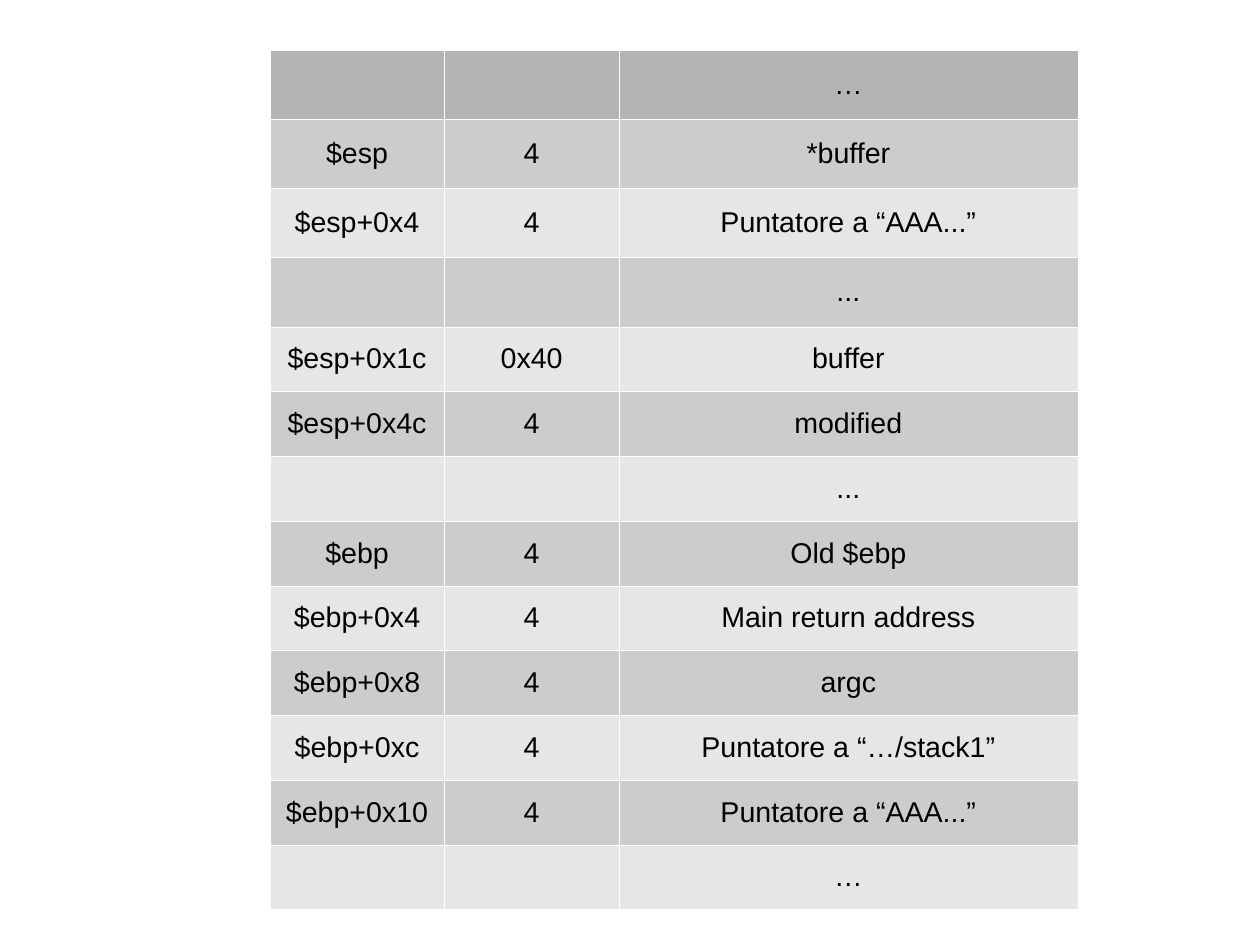
from lxml.etree import SubElement
from pptx import Presentation
from pptx.dml.color import RGBColor
from pptx.enum.text import MSO_ANCHOR, PP_ALIGN
from pptx.oxml.ns import qn
from pptx.util import Cm, Inches, Pt

HEADER_FILL = "B3B3B3"
BAND_FILLS = ["CCCCCC", "E6E6E6"]
BORDER_COLOR = "FFFFFF"
TEXT_COLOR = "000000"
COLUMN_SHARES = [1.53, 1.53, 4.02]
ROW_SHARES = [16] * 4 + [15] * 9

STACK_ROWS = [
    ("", "", "…"),
    ("$esp", "4", "*buffer"),
    ("$esp+0x4", "4", "Puntatore a “AAA...”"),
    ("", "", "..."),
    ("$esp+0x1c", "0x40", "buffer"),
    ("$esp+0x4c", "4", "modified"),
    ("", "", "..."),
    ("$ebp", "4", "Old $ebp"),
    ("$ebp+0x4", "4", "Main return address"),
    ("$ebp+0x8", "4", "argc"),
    ("$ebp+0xc", "4", "Puntatore a “…/stack1”"),
    ("$ebp+0x10", "4", "Puntatore a “AAA...”"),
    ("", "", "…"),
]


def color(value):
    return RGBColor.from_string(value)


def add_borders(cell):
    properties = cell._tc.get_or_add_tcPr()
    for side in ("a:lnL", "a:lnR", "a:lnT", "a:lnB"):
        line = SubElement(properties, qn(side), w=str(Pt(0.06)))
        fill = SubElement(line, qn("a:solidFill"))
        SubElement(fill, qn("a:srgbClr"), val=BORDER_COLOR)


def format_cell(cell, text, fill):
    add_borders(cell)
    cell.fill.solid()
    cell.fill.fore_color.rgb = color(fill)
    cell.vertical_anchor = MSO_ANCHOR.MIDDLE
    cell.margin_left = cell.margin_right = Inches(0.1)
    cell.margin_top = cell.margin_bottom = Inches(0.05)
    para = cell.text_frame.paragraphs[0]
    para.alignment = PP_ALIGN.CENTER
    if text:
        span = para.add_run()
        span.text = text
        span.font.size = Pt(18)
        span.font.name = "Arial"
        span.font.color.rgb = color(TEXT_COLOR)


def add_stack_table(page, left, top, width, height):
    frame = page.shapes.add_table(
        len(STACK_ROWS), len(COLUMN_SHARES), left, top, width, height
    )
    table = frame.table
    for column, share in zip(table.columns, COLUMN_SHARES):
        column.width = int(width * share / sum(COLUMN_SHARES))
    for row, share in zip(table.rows, ROW_SHARES):
        row.height = int(height * share / sum(ROW_SHARES))
    for row_index, texts in enumerate(STACK_ROWS):
        fill = BAND_FILLS[(row_index - 1) % 2] if row_index else HEADER_FILL
        for column_index, text in enumerate(texts):
            format_cell(table.cell(row_index, column_index), text, fill)


def main():
    deck = Presentation()
    deck.slide_width = Cm(28)
    deck.slide_height = Cm(21)
    page = deck.slides.add_slide(deck.slide_layouts[6])
    add_stack_table(page, Inches(2.36), Inches(0.44), Inches(7.07), Inches(7.52))
    deck.save("out.pptx")


if __name__ == "__main__":
    main()
